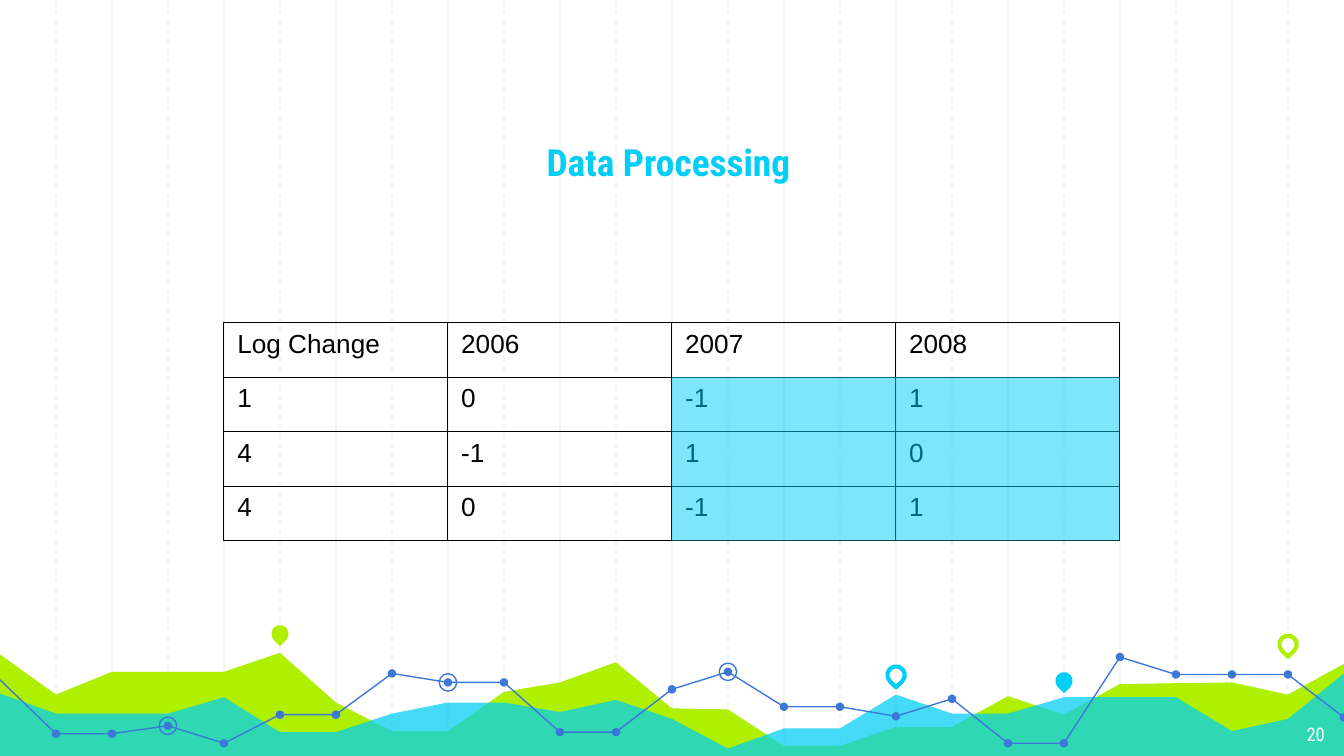
from lxml.etree import SubElement
from pptx import Presentation
from pptx.dml.color import RGBColor
from pptx.enum.dml import MSO_LINE
from pptx.enum.shapes import MSO_CONNECTOR, MSO_SHAPE as SHAPE
from pptx.enum.text import MSO_ANCHOR as ANCHOR, MSO_AUTO_SIZE, PP_ALIGN as ALIGN
from pptx.oxml.ns import qn
from pptx.util import Cm, Pt

WIDTH, HEIGHT = 25.4, 14.29
COLUMNS = 24
LIME, CYAN, BLUE, GREY = "AFF000", "00CEF6", "3C78D8", "F3F3F3"
HEAD_FONT, BODY_FONT = "Roboto Condensed", "Arial"

# Landscape heights: grid column -> cm below the top of the strip
HILLS = {0: 0.57, 1: 1.33, 2: 0.9, 4: 0.9, 5: 0.54, 6: 1.48, 7: 2.02, 8: 2.02,
         9: 1.28, 10: 1.1, 11: 0.72, 12: 1.59, 13: 1.61, 14: 2.3, 15: 2.3,
         16: 1.94, 17: 1.94, 18: 1.36, 19: 1.71, 20: 1.13, 22: 1.1, 23: 1.33,
         24: 0.75}
WATER = {0: 1.31, 1: 1.69, 3: 1.69, 4: 1.38, 5: 2.04, 6: 2.04, 7: 1.69, 8: 1.48,
         9: 1.48, 10: 1.66, 11: 1.43, 12: 1.79, 13: 2.35, 14: 1.97, 15: 1.97,
         16: 1.33, 17: 1.69, 18: 1.69, 19: 1.38, 21: 1.38, 22: 2.02, 23: 1.79,
         24: 0.93}
TREND = dict(enumerate([
    1.05, 2.07, 2.07, 1.92, 2.25, 1.71, 1.71, 0.93, 1.1, 1.1, 2.04, 2.04, 1.23,
    0.9, 1.56, 1.56, 1.74, 1.41, 2.25, 2.25, 0.62, 0.95, 0.95, 0.95, 1.76]))
RINGS = (3, 8, 13)
PINS = [(5, 0.18, LIME, True), (16, 0.96, CYAN, False),
        (19, 1.07, CYAN, True), (23, 0.38, LIME, False)]

ROWS = [["Log Change", "2006", "2007", "2008"],
        ["1", "0", "-1", "1"],
        ["4", "-1", "1", "0"],
        ["4", "0", "-1", "1"]]


def rgb(color):
    return RGBColor.from_string(color)


def paint(sp, fill=None, line=None, weight=0.75, alpha=None):
    """Give a shape its fill and outline; None means there is none."""
    sp.shadow.inherit = False
    if fill:
        sp.fill.solid()
        sp.fill.fore_color.rgb = rgb(fill)
        if alpha:
            clr = sp.fill._xPr.find(".//" + qn("a:srgbClr"))
            SubElement(clr, qn("a:alpha"), val=str(alpha * 1000))
    else:
        sp.fill.background()
    if line:
        sp.line.color.rgb = rgb(line)
        sp.line.width = Pt(weight)
    else:
        sp.line.fill.background()


def add_mark(s, kind, x, y, size, **style):
    """A small shape centred on a point."""
    sp = s.shapes.add_shape(kind, Cm(x - size / 2), Cm(y - size / 2), Cm(size), Cm(size))
    paint(sp, **style)
    return sp


def add_path(s, points, close=False, **style):
    points = [(Cm(x), Cm(y)) for x, y in points]
    builder = s.shapes.build_freeform(*points[0])
    builder.add_line_segments(points[1:], close=close)
    paint(builder.convert_to_shape(), **style)


def add_run(p, text, font, size, color, bold=False):
    r = p.add_run()
    r.text = text
    r.font.name, r.font.size, r.font.bold = font, Pt(size), bold
    r.font.color.rgb = rgb(color)


def format_frame(tf, anchor):
    tf.word_wrap, tf.auto_size, tf.vertical_anchor = True, MSO_AUTO_SIZE.NONE, anchor
    tf.margin_left = tf.margin_right = tf.margin_top = tf.margin_bottom = Cm(0.25)


def add_grid(s, left, top, width, height):
    """Vertical guides: solid on even columns, dashed on odd ones."""
    for col in [*range(2, COLUMNS, 2), *range(1, COLUMNS, 2)]:
        x = Cm(left + col * width / COLUMNS)
        guide = s.shapes.add_connector(MSO_CONNECTOR.STRAIGHT, x, Cm(top), x, Cm(top + height))
        guide.line.color.rgb = rgb(GREY)
        guide.line.width = Pt(0.75)
        if col % 2:
            guide.line.dash_style = MSO_LINE.DASH
        SubElement(guide.element.spPr, qn("a:effectLst"))


def add_landscape(s, left, top, width, height):
    """Two filled areas, a dotted trend line, rings and pins."""
    def at(col, y):
        return left + col * width / COLUMNS, top + y

    # Areas
    for heights, color, alpha in ((HILLS, LIME, None), (WATER, CYAN, 73)):
        outline = [*heights.items(), (COLUMNS, height), (0, height)]
        add_path(s, [at(*pt) for pt in outline], close=True, fill=color, alpha=alpha)

    # Pins
    for col, y, color, filled in PINS:
        style = {"fill": color} if filled else {"line": color, "weight": 2.25}
        add_mark(s, SHAPE.TEAR, *at(col, y), 0.33, **style).rotation = 135

    # Trend line with dots and rings
    add_path(s, [at(*pt) for pt in TREND.items()], line=BLUE)
    for col, y in TREND.items():
        if col:
            add_mark(s, SHAPE.OVAL, *at(col, y), 0.16, fill=BLUE)
    for col in RINGS:
        add_mark(s, SHAPE.OVAL, *at(col, TREND[col]), 0.33, line=BLUE)


def add_title(s, left, top, width, height):
    sp = s.shapes.title
    sp.left, sp.top, sp.width, sp.height = Cm(left), Cm(top), Cm(width), Cm(height)
    sp.element.getparent().append(sp.element)  # in front of the background
    format_frame(sp.text_frame, ANCHOR.BOTTOM)
    p = sp.text_frame.paragraphs[0]
    p.alignment = ALIGN.CENTER
    add_run(p, "Data Processing", HEAD_FONT, 20, CYAN, bold=True)


def add_page_number(s, left, top, width, height):
    tf = s.shapes.add_textbox(Cm(left), Cm(top), Cm(width), Cm(height)).text_frame
    format_frame(tf, ANCHOR.TOP)
    p = tf.paragraphs[0]
    p.alignment = ALIGN.RIGHT
    add_run(p, "20", HEAD_FONT, 10, "FFFFFF")


def format_cell(cell, text):
    # Borders go ahead of the fill in the cell properties
    tc_pr = cell._tc.get_or_add_tcPr()
    for side in ("lnL", "lnR", "lnT", "lnB"):
        ln = SubElement(tc_pr, qn("a:" + side), w=str(Pt(0.75)))
        SubElement(SubElement(ln, qn("a:solidFill")), qn("a:srgbClr"), val="000000")
    cell.fill.background()
    add_run(cell.text_frame.paragraphs[0], text, BODY_FONT, 14, "000000")


def add_log_table(s, left, top, width, height):
    """Table of log changes, with the last two years highlighted."""
    n_rows, n_cols = len(ROWS), len(ROWS[0])
    table = s.shapes.add_table(n_rows, n_cols, Cm(left), Cm(top), Cm(width), Cm(height)).table
    table.first_row = table.horz_banding = False
    for i, row in enumerate(ROWS):
        table.rows[i].height = Cm(height / n_rows)
        for j, text in enumerate(row):
            format_cell(table.cell(i, j), text)

    # Highlight
    row_height = height / n_rows
    sp = s.shapes.add_shape(SHAPE.RECTANGLE, Cm(left + width / 2), Cm(top + row_height),
                            Cm(width / 2), Cm(height - row_height))
    paint(sp, fill=CYAN, alpha=50)


def main():
    prs = Presentation()
    prs.slide_width, prs.slide_height = Cm(WIDTH), Cm(HEIGHT)
    s = prs.slides.add_slide(prs.slide_layouts[5])
    add_grid(s, 0, 0, WIDTH, 14.35)
    add_landscape(s, 0, 11.8, WIDTH, 2.55)
    add_title(s, 2.92, 1.75, 19.43, 1.98)
    add_page_number(s, 23.77, 13.41, 1.52, 0.89)
    add_log_table(s, 4.23, 6.1, 16.93, 4.12)
    prs.save("out.pptx")


if __name__ == "__main__":
    main()
